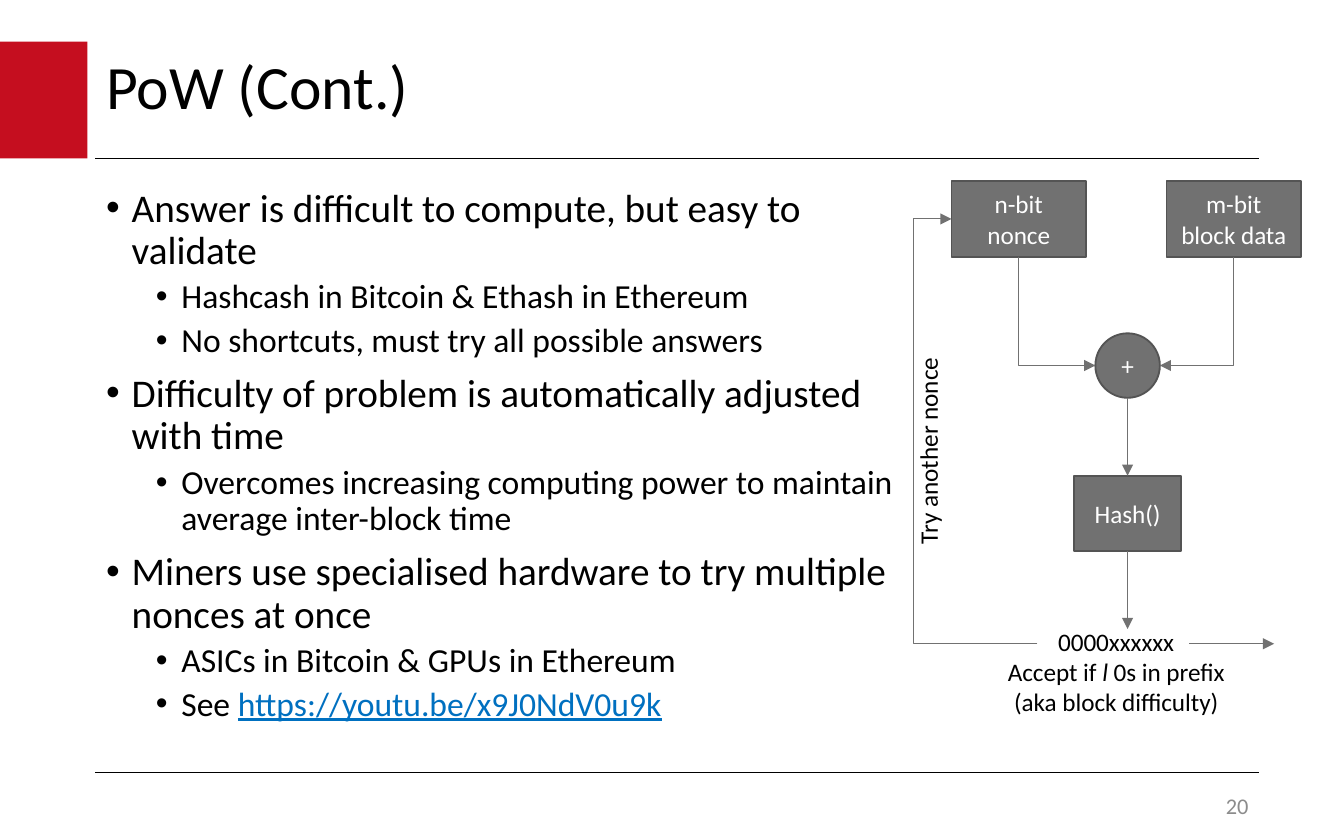
from pptx import Presentation
from pptx.dml.color import RGBColor
from pptx.enum.shapes import MSO_CONNECTOR, MSO_SHAPE
from pptx.enum.text import MSO_ANCHOR, MSO_AUTO_SIZE, PP_ALIGN
from pptx.oxml.ns import qn
from pptx.util import Inches, Pt
from lxml import etree

RECTANGLE, OVAL = MSO_SHAPE.RECTANGLE, MSO_SHAPE.OVAL
STRAIGHT, ELBOW = MSO_CONNECTOR.STRAIGHT, MSO_CONNECTOR.ELBOW
LEFT, CENTER, RIGHT = PP_ALIGN.LEFT, PP_ALIGN.CENTER, PP_ALIGN.RIGHT
TOP, MIDDLE = MSO_ANCHOR.TOP, MSO_ANCHOR.MIDDLE
NO_AUTO_SIZE = MSO_AUTO_SIZE.NONE
SIDE_TOP, SIDE_BOTTOM = 0, 2

BLACK = RGBColor(0x00, 0x00, 0x00)
WHITE = RGBColor(0xFF, 0xFF, 0xFF)
RED = RGBColor(0xC5, 0x0E, 0x1F)
GRAY = RGBColor(0x71, 0x71, 0x71)
DARK_GRAY = RGBColor(0x54, 0x54, 0x54)
NUMBER_GRAY = RGBColor(0x8C, 0x8C, 0x8C)
LINK_BLUE = RGBColor(0x00, 0x70, 0xC0)

# One entry per list level: font size, space before, left indent
LEVELS = [(21, 7.5, 0.19), (18, 3.8, 0.56)]
HANGING = 0.19

# Each paragraph: level, then its runs as (text, font changes)
BULLETS = [
    (0, [("Answer is difficult to compute, but easy to validate", {})]),
    (1, [("Hashcash in Bitcoin & Ethash in Ethereum", {})]),
    (1, [("No shortcuts, must try all possible answers", {})]),
    (0, [("Difficulty of problem is automatically adjusted with time", {})]),
    (1, [("Overcomes increasing computing power to maintain average "
          "inter-block time", {})]),
    (0, [("Miners use specialised hardware to try multiple nonces at once",
          {})]),
    (1, [("ASICs in Bitcoin & GPUs in Ethereum", {})]),
    (1, [("See ", {}),
         ("https://youtu.be/x9J0NdV0u9k",
          {"color": LINK_BLUE, "underline": True})]),
]
RESULT = [
    [("0000xxxxxx", {})],
    [("Accept if ", {}), ("l", {"italic": True}), (" 0s in prefix", {})],
    [("(aka block difficulty)", {})],
]


class SlideBuilder:
    """Holds the style and the current slide."""

    font_name = "Calibri"
    label_size = 13.5

    def __init__(self, slide):
        self.slide = slide

    def set_font(self, font, values):
        for name, value in {"name": self.font_name, **values}.items():
            if name == "color":
                font.color.rgb = value
            else:
                setattr(font, name, value)

    def set_frame(self, frame, anchor):
        values = {"word_wrap": True, "auto_size": NO_AUTO_SIZE,
                  "vertical_anchor": anchor,
                  "margin_left": Inches(0.08), "margin_right": Inches(0.08),
                  "margin_top": Inches(0.04), "margin_bottom": Inches(0.04)}
        for name, value in values.items():
            setattr(frame, name, value)

    def add_runs(self, paragraph, runs, size, color):
        for text, changes in runs:
            run = paragraph.add_run()
            run.text = text
            self.set_font(run.font, {"size": Pt(size), "color": color, **changes})

    def fill_frame(self, frame, paragraphs, size, color, align=CENTER, anchor=TOP):
        self.set_frame(frame, anchor)
        for index, runs in enumerate(paragraphs):
            paragraph = frame.add_paragraph() if index else frame.paragraphs[0]
            paragraph.alignment = align
            self.add_runs(paragraph, runs, size, color)

    def place(self, shape, box):
        for name, value in zip(("left", "top", "width", "height"), box):
            setattr(shape, name, Inches(value))

    def title(self, text, box):
        shape = self.slide.shapes.title
        self.place(shape, box)
        self.fill_frame(shape.text_frame, [[(text, {})]], 33, BLACK, LEFT, MIDDLE)
        shape.text_frame.paragraphs[0].line_spacing = 0.9

    def bullets(self, items, box):
        shape = self.slide.placeholders[1]
        self.place(shape, box)
        frame = shape.text_frame
        self.set_frame(frame, TOP)
        for index, (level, runs) in enumerate(items):
            size, space, indent = LEVELS[level]
            paragraph = frame.add_paragraph() if index else frame.paragraphs[0]
            paragraph.level = level
            paragraph.line_spacing = 0.9
            paragraph.space_before = Pt(space if index else 0)
            properties = paragraph._p.get_or_add_pPr()
            properties.set("marL", str(Inches(indent)))
            properties.set("indent", str(-Inches(HANGING)))
            etree.SubElement(properties, qn("a:buFont"), typeface="Arial")
            etree.SubElement(properties, qn("a:buChar"), char="•")
            self.add_runs(paragraph, runs, size, BLACK)

    def text(self, paragraphs, box, size=label_size, color=BLACK,
             align=CENTER, anchor=TOP, rotation=0):
        shape = self.slide.shapes.add_textbox(*map(Inches, box))
        shape.rotation = rotation
        self.fill_frame(shape.text_frame, paragraphs, size, color, align, anchor)

    def shape(self, kind, box, fill, outline=None, label=None):
        shape = self.slide.shapes.add_shape(kind, *map(Inches, box))
        shape.shadow.inherit = False
        shape.fill.solid()
        shape.fill.fore_color.rgb = fill
        if outline is None:
            shape.line.fill.background()
        else:
            shape.line.color.rgb = outline
            shape.line.width = Pt(1)
        if label:
            self.fill_frame(shape.text_frame, [[(label, {})]], self.label_size,
                            WHITE, CENTER, MIDDLE)
        return shape

    def line(self, start, end, color=BLACK, width=0.75, kind=STRAIGHT):
        connector = self.slide.shapes.add_connector(
            kind, *map(Inches, (*start, *end)))
        connector.line.color.rgb = color
        connector.line.width = Pt(width)
        etree.SubElement(connector._element.spPr, qn("a:effectLst"))
        return connector

    def arrow(self, start, end, kind=STRAIGHT):
        connector = self.line(start, end, GRAY, 0.5, kind)
        outline = connector._element.spPr.find(qn("a:ln"))
        etree.SubElement(outline, qn("a:tailEnd"), type="triangle")
        return connector

    def elbow_arrow(self, start, end, turn_x):
        """Run sideways to turn_x, then up or down, then sideways to end."""
        connector = self.arrow(start, end, ELBOW)
        share = (turn_x - start[0]) / (end[0] - start[0])
        geometry = connector._element.spPr.find(qn("a:prstGeom"))
        guides = geometry.find(qn("a:avLst"))
        if guides is None:
            guides = etree.SubElement(geometry, qn("a:avLst"))
        etree.SubElement(guides, qn("a:gd"), name="adj1",
                         fmla=f"val {round(share * 100000)}")


def main():
    presentation = Presentation()
    presentation.slide_width = Inches(10)
    presentation.slide_height = Inches(6.25)
    slide = presentation.slides.add_slide(presentation.slide_layouts[1])
    builder = SlideBuilder(slide)

    # Red block and rules
    builder.shape(RECTANGLE, (0, 0.31, 0.65, 0.87), RED)
    for y in (1.18, 5.75):
        builder.line((0.71, y), (9.37, y))

    # Title, list and slide number
    builder.title("PoW (Cont.)", (0.71, 0.31, 7.25, 0.71))
    builder.bullets(BULLETS, (0.71, 1.36, 6.05, 4.16))
    builder.text([[("20", {})]], (7.34, 5.87, 2.03, 0.25), 12, NUMBER_GRAY,
                 RIGHT, MIDDLE)

    # Inputs, combiner and hash
    for x, label in ((7.08, "n-bit nonce"), (8.68, "m-bit block data")):
        builder.shape(RECTANGLE, (x, 1.35, 1, 0.56), GRAY, DARK_GRAY, label)
    builder.shape(OVAL, (8.15, 2.48, 0.48, 0.48), GRAY, DARK_GRAY, "+")
    hash_box = builder.shape(RECTANGLE, (7.99, 3.54, 0.8, 0.56), GRAY,
                             DARK_GRAY, "Hash()")

    # Result and loop label
    builder.text(RESULT, (7.33, 4.62, 1.95, 0.78))
    builder.text([[("Try another nonce", {})]], (5.94, 3.19, 1.95, 0.33),
                 rotation=270)

    # Arrows
    builder.arrow((8.39, 2.96), (8.39, 3.54)).end_connect(hash_box, SIDE_TOP)
    builder.arrow((8.39, 4.1), (8.39, 4.68)).begin_connect(hash_box, SIDE_BOTTOM)
    builder.arrow((8.85, 4.79), (9.48, 4.79))
    for x, plus_side in ((7.58, 8.15), (9.18, 8.63)):
        builder.elbow_arrow((x, 1.91), (plus_side, 2.72), turn_x=x)
    builder.elbow_arrow((7.72, 4.79), (7.08, 1.63), turn_x=6.8)

    presentation.save("out.pptx")


if __name__ == "__main__":
    main()
